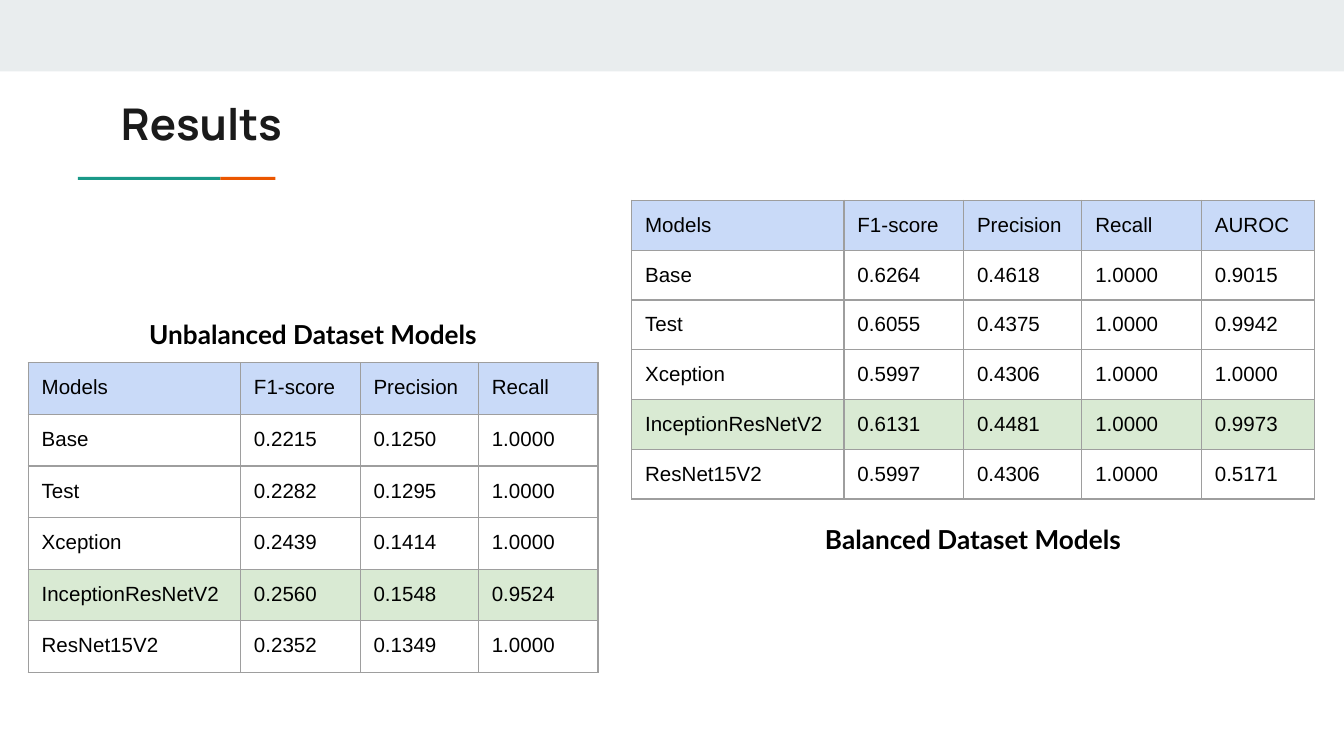
from dataclasses import dataclass

from lxml import etree
from pptx import Presentation
from pptx.dml.color import RGBColor
from pptx.enum.shapes import MSO_SHAPE
from pptx.enum.text import MSO_ANCHOR, MSO_AUTO_SIZE, PP_ALIGN
from pptx.oxml.ns import qn
from pptx.util import Inches, Pt

RECTANGLE = MSO_SHAPE.RECTANGLE
TOP = MSO_ANCHOR.TOP
NO_AUTOFIT = MSO_AUTO_SIZE.NONE
LEFT, CENTER = PP_ALIGN.LEFT, PP_ALIGN.CENTER

WIDTH = Inches(10)
HEIGHT = WIDTH * 9 // 16
INSET = Inches(0.1)
TITLE_ONLY = 5

BLACK, GRID_GREY = "000000", "9E9E9E"
HEADER_BLUE, BEST_GREEN = "C9DAF8", "D9EAD3"
BEST_MODEL = "InceptionResNetV2"
COLUMN_SHARES = (15.8, 8.9, 8.8, 8.9, 8.4)
ROW_SHARE = 6.58


@dataclass
class Area:
    """Left and width in percent of slide width, top and height of slide height."""
    left: float
    top: float
    width: float
    height: float

    def lengths(self) -> tuple:
        return (across(self.left), down(self.top), across(self.width), down(self.height))


@dataclass
class Bar:
    area: Area
    color: str


@dataclass
class ResultTable:
    left: float
    top: float
    caption: str
    caption_top: float
    rows: list


BARS = [
    Bar(Area(0, 0, 100, 9.45), "E9EDEE"),
    Bar(Area(5.8, 23.4, 10.6, 0.4), "1A9988"),
    Bar(Area(16.4, 23.4, 4.1, 0.4), "EB5600"),
]

TABLES = [
    ResultTable(47, 26.5, "Balanced Dataset Models", 67.4, [
        ("Models", "F1-score", "Precision", "Recall", "AUROC"),
        ("Base", "0.6264", "0.4618", "1.0000", "0.9015"),
        ("Test", "0.6055", "0.4375", "1.0000", "0.9942"),
        ("Xception", "0.5997", "0.4306", "1.0000", "1.0000"),
        (BEST_MODEL, "0.6131", "0.4481", "1.0000", "0.9973"),
        ("ResNet15V2", "0.5997", "0.4306", "1.0000", "0.5171"),
    ]),
    ResultTable(2.1, 48, "Unbalanced Dataset Models", 40.35, [
        ("Models", "F1-score", "Precision", "Recall"),
        ("Base", "0.2215", "0.1250", "1.0000"),
        ("Test", "0.2282", "0.1295", "1.0000"),
        ("Xception", "0.2439", "0.1414", "1.0000"),
        (BEST_MODEL, "0.2560", "0.1548", "0.9524"),
        ("ResNet15V2", "0.2352", "0.1349", "1.0000"),
    ]),
]


def across(percent: float) -> int:
    return round(WIDTH * percent / 100)


def down(percent: float) -> int:
    return round(HEIGHT * percent / 100)


def rgb(color: str) -> RGBColor:
    return RGBColor.from_string(color)


def write(frame, text: str, font: str, size: float, color: str,
          bold: bool = False, align=LEFT) -> None:
    para = frame.paragraphs[0]
    para.alignment = align
    span = para.add_run()
    span.text = text
    span.font.name = font
    span.font.size = Pt(size)
    span.font.bold = bold
    span.font.color.rgb = rgb(color)


def set_insets(holder) -> None:
    holder.margin_left = holder.margin_right = INSET
    holder.margin_top = holder.margin_bottom = INSET


def draw_bar(page, bar: Bar) -> None:
    shape = page.shapes.add_shape(RECTANGLE, *bar.area.lengths())
    shape.shadow.inherit = False
    shape.fill.solid()
    shape.fill.fore_color.rgb = rgb(bar.color)
    shape.line.fill.background()


def draw_title(page, text: str) -> None:
    title = page.shapes.title
    title.left, title.top, title.width, title.height = Area(8, 11, 84.1, 10.5).lengths()
    frame = title.text_frame
    frame.word_wrap = True
    frame.auto_size = NO_AUTOFIT
    frame.vertical_anchor = TOP
    set_insets(frame)
    write(frame, text, "Manrope", 23.4, "1A1A1A", bold=True)


def add_borders(cell) -> None:
    properties = cell._tc.get_or_add_tcPr()
    for position, side in enumerate(("a:lnL", "a:lnR", "a:lnT", "a:lnB")):
        line = etree.Element(qn(side), w=str(Pt(0.75)))
        fill = etree.SubElement(line, qn("a:solidFill"))
        etree.SubElement(fill, qn("a:srgbClr"), val=GRID_GREY)
        properties.insert(position, line)


def draw_cell(cell, text: str, fill: str | None) -> None:
    set_insets(cell)
    cell.vertical_anchor = TOP
    if fill:
        cell.fill.solid()
        cell.fill.fore_color.rgb = rgb(fill)
    else:
        cell.fill.background()
    add_borders(cell)
    write(cell.text_frame, text, "Arial", 11, BLACK)


def draw_table(page, result: ResultTable) -> None:
    shares = COLUMN_SHARES[:len(result.rows[0])]
    area = Area(result.left, result.top, sum(shares), ROW_SHARE * len(result.rows))
    table = page.shapes.add_table(len(result.rows), len(shares), *area.lengths()).table
    table.first_row = table.horz_banding = False
    for column, share in zip(table.columns, shares):
        column.width = across(share)
    for row_index, values in enumerate(result.rows):
        table.rows[row_index].height = down(ROW_SHARE)
        fill = BEST_GREEN if values[0] == BEST_MODEL else None
        if row_index == 0:
            fill = HEADER_BLUE
        for column_index, value in enumerate(values):
            draw_cell(table.cell(row_index, column_index), value, fill)

    # Caption as wide as the table
    caption_area = Area(result.left, result.caption_top, sum(shares), 7.8)
    box = page.shapes.add_textbox(*caption_area.lengths())
    box.text_frame.word_wrap = True
    set_insets(box.text_frame)
    write(box.text_frame, result.caption, "Lato", 14, BLACK, bold=True, align=CENTER)


def main() -> None:
    deck = Presentation()
    deck.slide_width, deck.slide_height = WIDTH, HEIGHT
    page = deck.slides.add_slide(deck.slide_layouts[TITLE_ONLY])

    # Top band, accent line and title
    for bar in BARS:
        draw_bar(page, bar)
    draw_title(page, "Results")

    # Result tables with their captions
    for result in TABLES:
        draw_table(page, result)

    deck.save("out.pptx")


if __name__ == "__main__":
    main()
